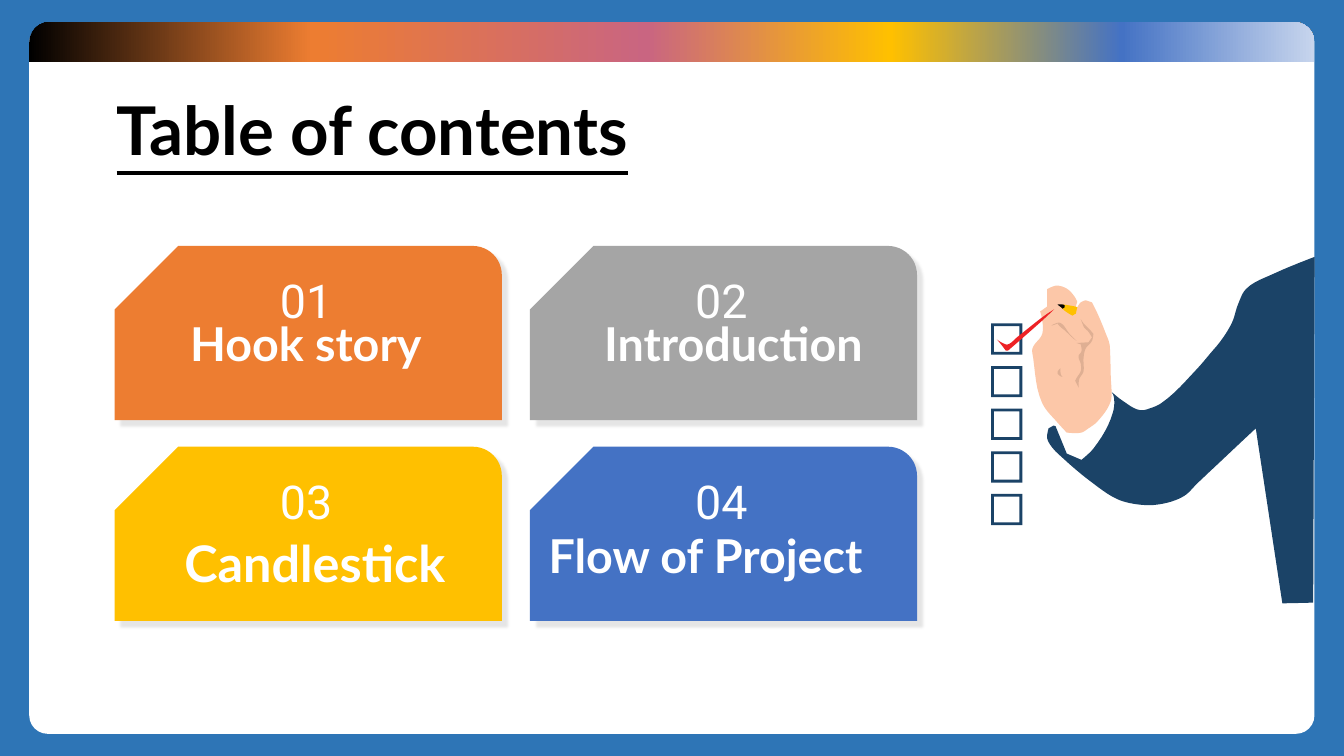
import math

import pptx
import pptx.dml.color
import pptx.enum.dml
import pptx.enum.shapes
import pptx.enum.text
import pptx.oxml
import pptx.oxml.ns
import pptx.util
from lxml import etree

Pt = pptx.util.Pt
RGBColor = pptx.dml.color.RGBColor
SHAPE = pptx.enum.shapes.MSO_SHAPE
ALIGN = pptx.enum.text.PP_ALIGN
ANCHOR = pptx.enum.text.MSO_ANCHOR
qn = pptx.oxml.ns.qn

BLUE = RGBColor(0x2E, 0x75, 0xB6)
WHITE = RGBColor(0xFF, 0xFF, 0xFF)
BLACK = RGBColor(0x00, 0x00, 0x00)
NAVY = RGBColor(0x1B, 0x43, 0x67)
SKIN = RGBColor(0xFC, 0xC7, 0xA8)
CREASE = RGBColor(0xDF, 0xAF, 0x93)
RED = RGBColor(0xED, 0x22, 0x25)
ORANGE = RGBColor(0xED, 0x7D, 0x31)
GRAY = RGBColor(0xA5, 0xA5, 0xA5)
GOLD = RGBColor(0xFF, 0xC0, 0x00)
INDIGO = RGBColor(0x44, 0x72, 0xC4)
ROSE = RGBColor(0xC9, 0x65, 0x81)
PALE = RGBColor(0xC7, 0xD5, 0xED)

STRIP_STOPS = [(0, BLACK), (22, ORANGE), (48, ROSE), (67, GOLD), (85, INDIGO), (100, PALE)]

CARDS = [("01", ORANGE), ("02", GRAY), ("03", GOLD), ("04", INDIGO)]
CAPTIONS = [
    ("Hook story", 118, 226, 201),
    ("Introduction", 411.5, 226, 225),
    ("Flow of Project", 374.5, 377.3, 259),
]

SLEEVE = [
    (938, 430.5), (916, 431), (897, 306), (855.5, 345), (845.5, 354.5), (826.5, 360.5),
    (810.5, 360), (798, 356.5), (778.5, 343.5), (759.5, 327.5), (751.5, 319.5), (748, 313),
    (749, 306), (752.5, 304), (754, 304.5), (762, 324), (772.5, 328.5), (781, 320.5),
    (795, 294.5), (795.5, 283), (794, 280), (801.5, 286), (814.5, 293), (822, 291.5),
    (829.5, 288), (855.5, 263), (864.5, 252.5), (872, 243.5), (880, 230.5), (884.5, 217),
    (890, 206.5), (911, 195), (939, 183.5),
]
HAND = [
    (794, 280), (793.5, 286.5), (783.5, 301.5), (777.5, 306), (772.5, 309), (762, 309),
    (756, 302.5), (744.5, 288), (738, 255.5), (737.5, 249), (744.5, 238.5), (744, 226),
    (743, 222.5), (748, 219), (748, 214), (748, 206.5), (752.5, 204.5), (755.5, 204),
    (762.5, 206.5), (768, 212.5), (769.5, 215.5), (768.5, 219), (769.5, 219.5), (772, 216),
    (775.5, 214.5), (780, 216), (784, 224), (790, 238.5), (792.5, 245.5), (793, 252),
    (793.5, 270),
]
TICK = [
    (727, 240.5), (747.5, 224.5), (753, 221), (744.5, 229), (720, 250.5), (718.5, 250.5),
    (713, 243.5), (712, 242.5), (718.5, 246), (720, 246),
]
PEN = [
    (769.5, 219.5), (768.5, 224), (766, 225.5), (760.5, 222), (758, 219.5), (759.5, 217.5),
    (768, 219),
]
PALM_CREASE = [
    (770.5, 277), (768, 272), (769, 270), (772, 265), (772, 260), (770.5, 255.5),
    (770.5, 254), (772.5, 251), (772, 246), (769, 245), (777.5, 244.5), (780, 241),
    (777.5, 237), (774.5, 234), (773.5, 232), (772, 228), (774, 231), (778.5, 235.5),
    (781, 238.5), (780, 243.5), (775.5, 249), (774, 255.5), (774, 265), (773.5, 266.5),
    (771, 270.5), (770.5, 273.5),
]
FINGER_CREASE = [
    (769, 243.5), (767, 242), (760.5, 236), (756, 232), (755.5, 231), (751.5, 232.5),
    (751, 232.5), (756, 230.5), (758, 231), (764, 238.5),
]
WRIST_CREASE = [(757.5, 263), (758, 268), (759, 269), (758, 269), (755.5, 267), (755.5, 265.5)]
NIB = [
    (759, 217.5), (760.5, 218), (760.5, 219.5), (759, 220.5), (758, 219.5), (756, 218),
    (755.5, 217.5),
]
DRAWING = [
    (SLEEVE, NAVY), (HAND, SKIN), (TICK, RED), (PEN, GOLD), (PALM_CREASE, CREASE),
    (FINGER_CREASE, CREASE), (WRIST_CREASE, CREASE), (NIB, BLACK),
]


def paint(shape, color):
    shape.shadow.inherit = False
    shape.fill.solid()
    shape.fill.fore_color.rgb = color
    shape.line.fill.background()


def add_block(page, kind, left, top, width, height, color, adjustments):
    block = page.shapes.add_shape(kind, Pt(left), Pt(top), Pt(width), Pt(height))
    for index, value in enumerate(adjustments):
        block.adjustments[index] = value
    paint(block, color)
    return block


def add_strip(page):
    strip = add_block(page, SHAPE.ROUND_2_SAME_RECTANGLE, 20.9, 15.8, 918, 28.8, ORANGE, (0.5, 0))
    strip.fill.gradient()
    strip.fill.gradient_angle = 0
    stops = strip._element.spPr.find(".//" + qn("a:gsLst"))
    for stop in list(stops):
        stops.remove(stop)
    for percent, color in STRIP_STOPS:
        stop = etree.SubElement(stops, qn("a:gs"), pos=str(percent * 1000))
        etree.SubElement(stop, qn("a:srgbClr"), val=str(color))


def add_card(page, left, top, color):
    card = add_block(page, SHAPE.SNIP_ROUND_RECTANGLE, left, top, 276.5, 124.5, color, (0.167, 0.364))
    properties = card._element.spPr
    properties.xfrm.set("flipH", "1")
    shadow = etree.SubElement(
        properties.find(qn("a:effectLst")), qn("a:outerShdw"),
        blurRad=str(Pt(2)), dist=str(Pt(6)), dir="2700000", algn="tl", rotWithShape="0",
    )
    tint = etree.SubElement(shadow, qn("a:srgbClr"), val=str(BLACK))
    etree.SubElement(tint, qn("a:alpha"), val="10000")


def add_text(page, text, left, top, width, height, size=33.3, font="Lato", bold=True,
             color=WHITE, align=ALIGN.CENTER, spacing=0.9):
    box = page.shapes.add_textbox(Pt(left), Pt(top), Pt(width), Pt(height))
    box.text_frame.word_wrap = True
    para = box.text_frame.paragraphs[0]
    para.text = text
    para.alignment = align
    para.line_spacing = spacing
    para.font.name = font
    para.font.size = Pt(size)
    para.font.bold = bold
    para.font.color.rgb = color
    return box


def tangent(before, here, after):
    arriving = math.atan2(here[1] - before[1], here[0] - before[0])
    leaving = math.atan2(after[1] - here[1], after[0] - here[0])
    turn = math.remainder(leaving - arriving, math.tau)
    if abs(turn) > math.radians(40):
        return 0, 0
    return math.cos(arriving + turn / 2), math.sin(arriving + turn / 2)


def smooth(points, steps=6):
    count = len(points)
    tangents = [tangent(points[i - 1], points[i], points[(i + 1) % count]) for i in range(count)]
    curve = []
    for i in range(count):
        j = (i + 1) % count
        length = math.dist(points[i], points[j])
        for step in range(steps):
            t = step / steps
            rise = t * t * (3 - 2 * t)
            lead = t * (1 - t) ** 2 * length
            trail = t * t * (t - 1) * length
            curve.append(tuple(
                points[i][axis] * (1 - rise) + points[j][axis] * rise
                + tangents[i][axis] * lead + tangents[j][axis] * trail
                for axis in (0, 1)
            ))
    return curve


def add_outline(page, points, color):
    curve = smooth(points)
    builder = page.shapes.build_freeform(*(Pt(value) for value in curve[0]))
    builder.add_line_segments([(Pt(x), Pt(y)) for x, y in curve[1:]], close=True)
    paint(builder.convert_to_shape(), color)


def main():
    deck = pptx.Presentation()
    deck.slide_width, deck.slide_height = Pt(960), Pt(540)
    page = deck.slides.add_slide(deck.slide_layouts[6])
    page.background.fill.solid()
    page.background.fill.fore_color.rgb = BLUE
    add_block(page, SHAPE.ROUNDED_RECTANGLE, 20.9, 17.3, 918, 506.9, WHITE, (0.026,))
    add_strip(page)

    title = add_text(page, "Table of contents", 76.3, 58.3, 808, 75, size=48,
                     color=BLACK, align=ALIGN.LEFT)
    title.text_frame.vertical_anchor = ANCHOR.MIDDLE
    title.text_frame.paragraphs[0].font.underline = True

    for row in range(5):
        add_block(page, SHAPE.FRAME, 707.9, 231 + 30.45 * row, 22.3, 22.3, NAVY, (0.09,))
    for points, color in DRAWING:
        add_outline(page, points, color)

    for index, (number, color) in enumerate(CARDS):
        row, column = divmod(index, 2)
        left, top = 82 + 296.6 * column, 175.7 + 143.4 * row
        add_card(page, left, top, color)
        add_text(page, number, left + 36.2, top + 19.4, 201, 31, font="Roboto", bold=False)
    for text, left, top, width in CAPTIONS:
        add_text(page, text, left, top, width, 31)
    add_text(page, "Candlestick", 124.6, 376.6, 281.5, 51, size=36, align=ALIGN.LEFT, spacing=1)

    deck.save("out.pptx")


if __name__ == "__main__":
    main()
